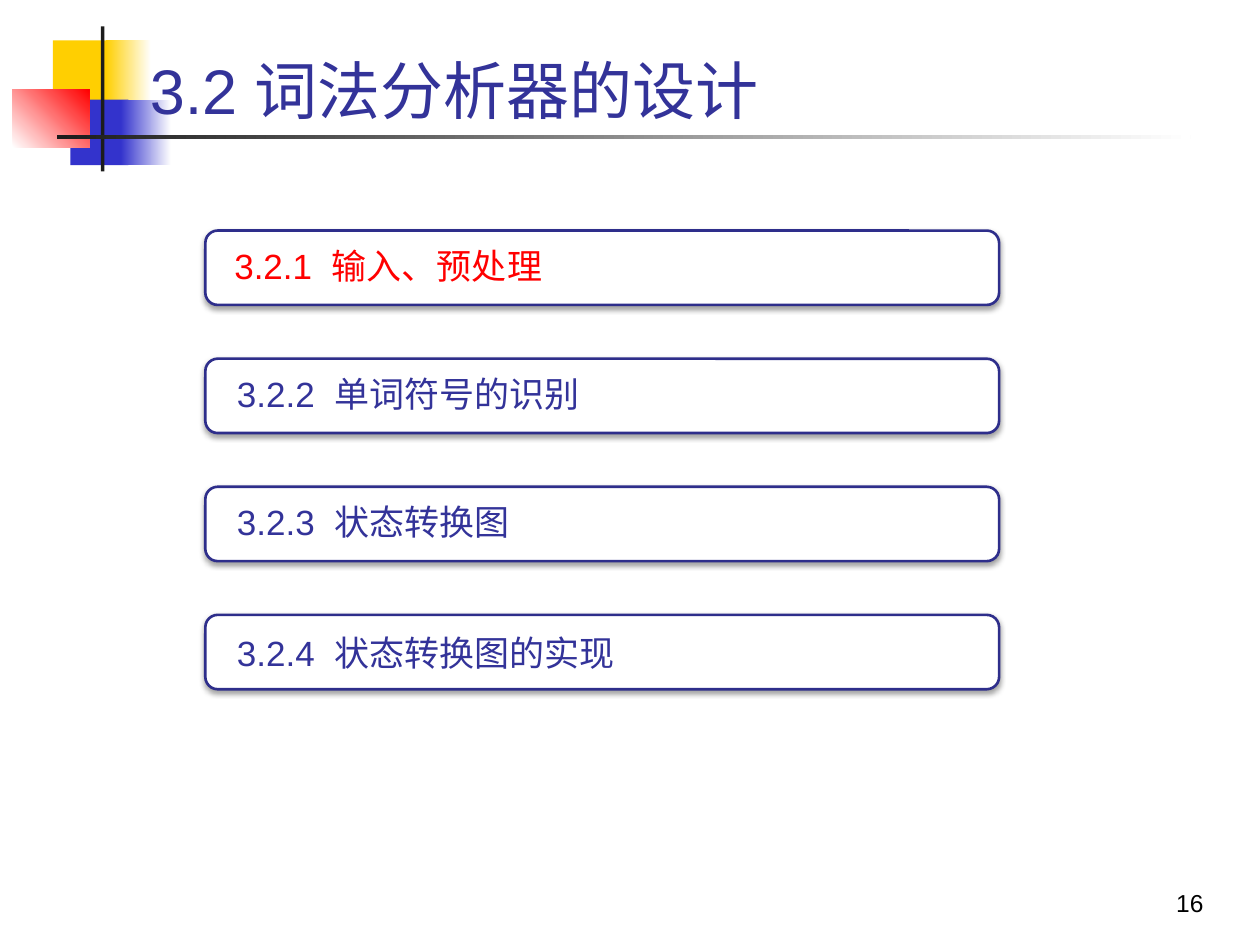
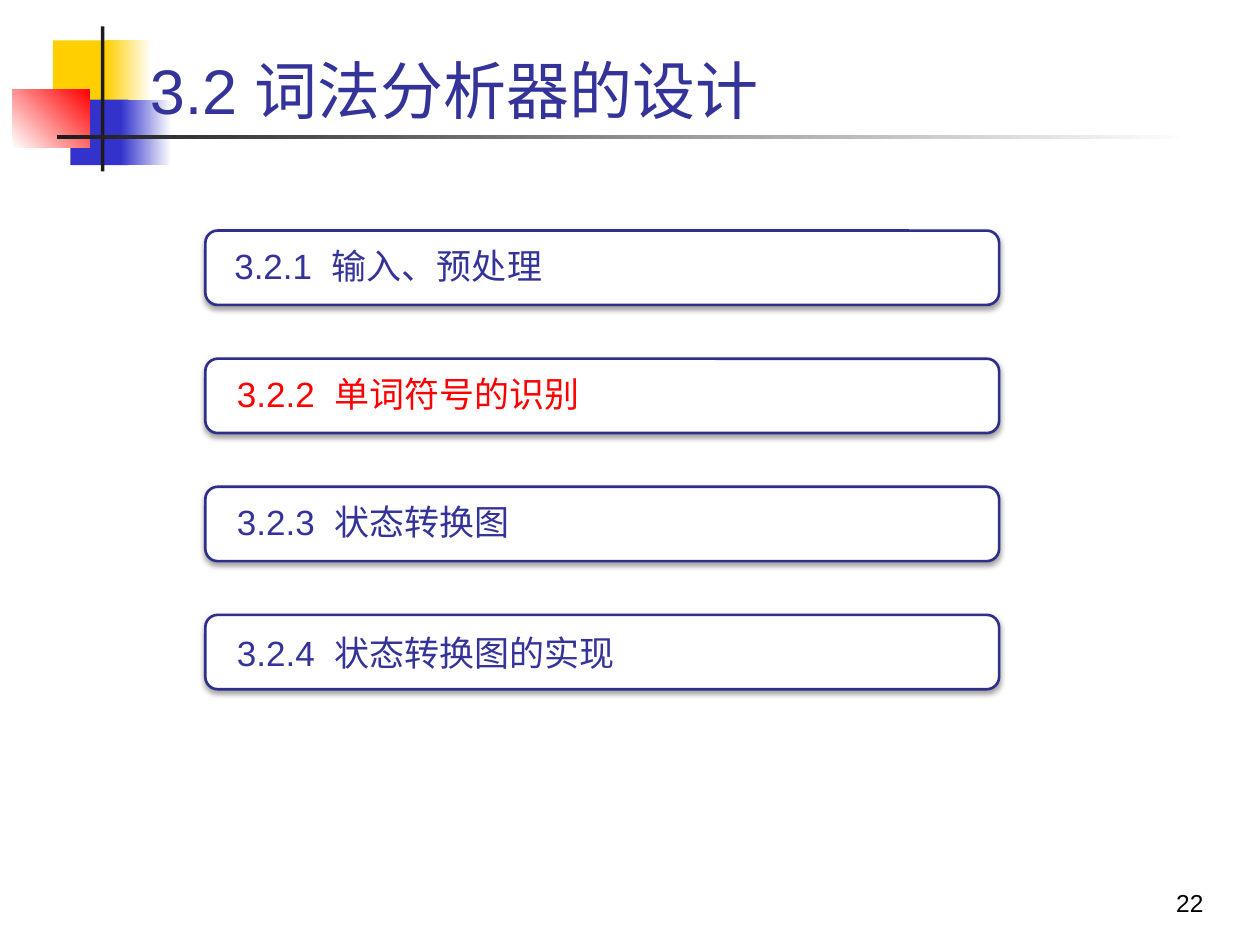
from lxml import etree
from pptx import Presentation
from pptx.dml.color import RGBColor
from pptx.enum.shapes import MSO_SHAPE as Shape
from pptx.enum.text import MSO_ANCHOR as Anchor, PP_ALIGN as Align
from pptx.oxml.ns import qn
from pptx.util import Inches, Pt

COLORS = {
    "yellow": "FFCF01", "blue": "3333CC", "red": "FF0000",
    "ink": "1C1C1C", "navy": "333399", "border": "2E2E8B",
    "white": "FFFFFF", "black": "000000",
}
LATIN, CJK = "Arial", "Noto Sans CJK SC"
TITLE = "3.2 词法分析器的设计"
SECTIONS = ["输入、预处理", "单词符号的识别", "状态转换图", "状态转换图的实现"]
AGENDAS = [("16", 0), ("22", 1)]  # page number, index of the current section

# Master motif: box, first colour, optional second colour, gradient angle
MOTIF = [
    ((0.42, 0.32, 0.48, 0.52), "yellow", None, 0),
    ((0.84, 0.32, 0.36, 0.52), "yellow", "white", 0),
    ((0.56, 0.79, 0.46, 0.52), "blue", None, 0),
    ((0.96, 0.79, 0.40, 0.52), "blue", "white", 0),
    ((0.10, 0.71, 0.61, 0.46), "white", "red", 45),
    ((0.80, 0.21, 0.03, 1.15), "ink", None, 0),
    ((0.45, 1.07, 9.00, 0.03), "ink", "white", 0),
]


def rgb(name):
    return RGBColor.from_string(COLORS[name])


def inches(box):
    return [Inches(length) for length in box]


def write_text(frame, runs, size, color, anchor=Anchor.BOTTOM, align=Align.LEFT,
               side_inset=0.1, end_inset=0.05, line_spacing=None, after_percent=None):
    """Fill a frame with one paragraph of (text, font) runs."""
    frame.word_wrap = True
    frame.vertical_anchor = anchor
    frame.margin_left = frame.margin_right = Inches(side_inset)
    frame.margin_top = frame.margin_bottom = Inches(end_inset)
    paragraph = frame.paragraphs[0]
    paragraph.alignment = align
    if line_spacing:
        paragraph.line_spacing = line_spacing
    if after_percent:
        paragraph.space_after = Pt(0)
        after = paragraph._p.pPr.find(qn("a:spcAft"))
        after.remove(after[0])
        etree.SubElement(after, qn("a:spcPct"), val=str(after_percent * 1000))
    for text, font in runs:
        run = paragraph.add_run()
        run.text = text
        run.font.name = font
        run.font.size = Pt(size)
        run.font.color.rgb = rgb(color)
        etree.SubElement(run.font._element, qn("a:ea"), typeface=CJK)


class Deck:
    def __init__(self):
        self.presentation = Presentation()
        self.presentation.slide_width = Inches(10)
        self.presentation.slide_height = Inches(7.5)
        self.slide = None

    def new_slide(self, page):
        self.slide = self.presentation.slides.add_slide(self.presentation.slide_layouts[6])
        for box, start, end, angle in MOTIF:
            self.block(box, start, end, angle)
        self.text((1.09, 0.22, 8.52, 0.84), [(TITLE, LATIN)], size=36, color="navy")
        self.text((7.57, 6.83, 2.08, 0.5), [(page, LATIN)], size=14, color="black",
                  align=Align.RIGHT)

    def block(self, box, start, end, angle):
        block = self.slide.shapes.add_shape(Shape.RECTANGLE, *inches(box))
        block.shadow.inherit = False
        block.line.fill.background()
        if end is None:
            block.fill.solid()
            block.fill.fore_color.rgb = rgb(start)
            return
        block.fill.gradient()
        block.fill.gradient_angle = angle
        for stop, color in zip(block.fill.gradient_stops, (start, end)):
            stop.color.rgb = rgb(color)

    def text(self, box, runs, shapes=None, **style):
        shapes = shapes or self.slide.shapes
        write_text(shapes.add_textbox(*inches(box)).text_frame, runs, **style)

    def soft_shadow(self, shape):
        shape.shadow.inherit = False
        effects = shape._element.spPr.find(qn("a:effectLst"))
        shadow = etree.SubElement(effects, qn("a:outerShdw"), blurRad=str(Pt(3.1)),
                                  dist=str(Pt(1.6)), dir="5400000", rotWithShape="0")
        color = etree.SubElement(shadow, qn("a:srgbClr"), val=COLORS["black"])
        etree.SubElement(color, qn("a:alpha"), val="38000")

    def section(self, index, name, current):
        top = 1.83 + index * 1.0167
        group = self.slide.shapes.add_group_shape()
        # Rounded frame
        frame = group.shapes.add_shape(Shape.ROUNDED_RECTANGLE,
                                       *inches((1.63, top, 6.3, 0.59)))
        frame.fill.solid()
        frame.fill.fore_color.rgb = rgb("white")
        frame.line.color.rgb = rgb("border")
        frame.line.width = Pt(1.5)
        self.soft_shadow(frame)
        # Number and name; the last entry keeps plain paragraph spacing
        left, width = (1.66, 6.24) if index == 0 else (1.68, 6.21)
        spacing = {}
        if index < len(SECTIONS) - 1:
            spacing = {"line_spacing": 0.9, "after_percent": 35}
        self.text((left, top + 0.03, width, 0.53),
                  [(f"3.2.{index + 1}  ", LATIN), (name, CJK)], shapes=group.shapes,
                  size=20, color="red" if current else "navy", anchor=Anchor.MIDDLE,
                  side_inset=0.2, end_inset=0, **spacing)


deck = Deck()
for page, current in AGENDAS:
    deck.new_slide(page)
    for index, name in enumerate(SECTIONS):
        deck.section(index, name, index == current)
deck.presentation.save("out.pptx")
